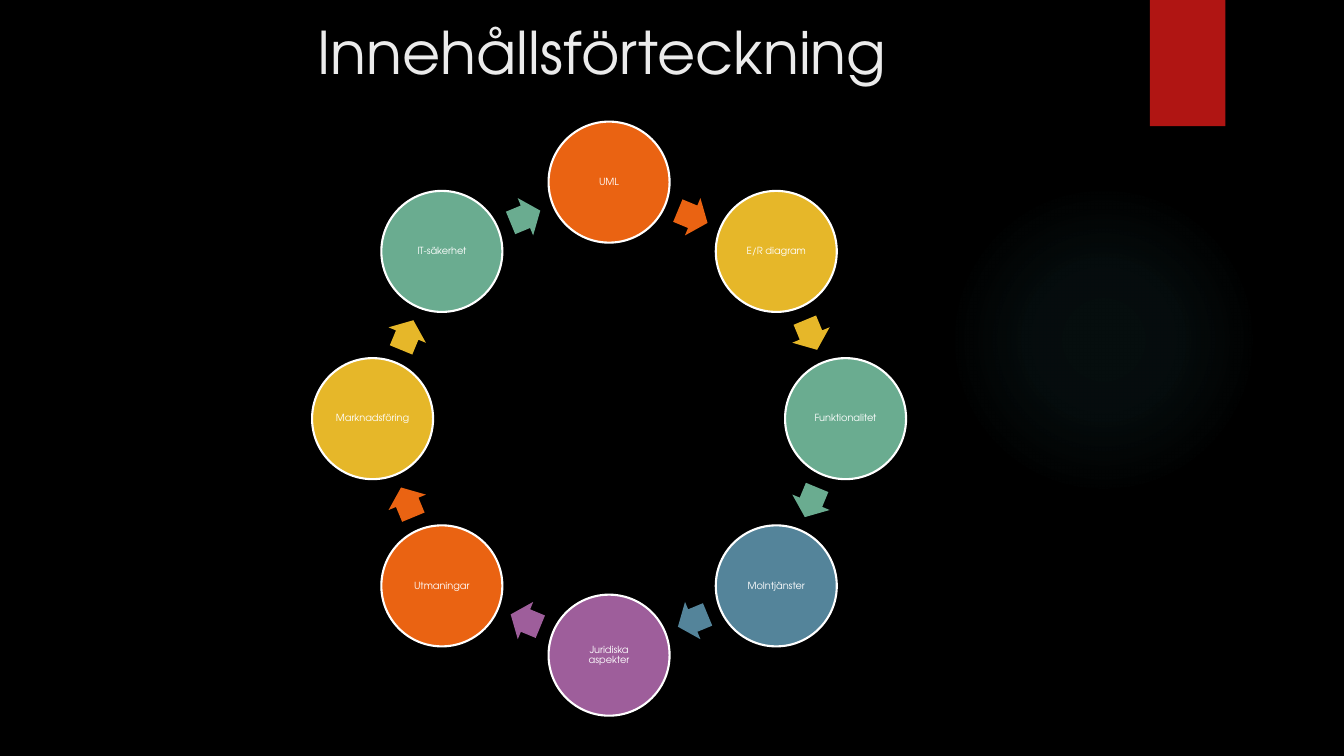
from dataclasses import dataclass
from math import cos, radians, sin

from pptx import Presentation
from pptx.dml.color import RGBColor
from pptx.enum.shapes import MSO_SHAPE
from pptx.enum.text import MSO_ANCHOR, MSO_AUTO_SIZE, PP_ALIGN
from pptx.oxml import parse_xml
from pptx.oxml.ns import nsdecls, qn
from pptx.util import Cm, Pt

OVAL, RECT, ARROW = MSO_SHAPE.OVAL, MSO_SHAPE.RECTANGLE, MSO_SHAPE.RIGHT_ARROW
TOP, MIDDLE = MSO_ANCHOR.TOP, MSO_ANCHOR.MIDDLE
LEFT, CENTER = PP_ALIGN.LEFT, PP_ALIGN.CENTER
FIXED = MSO_AUTO_SIZE.NONE


@dataclass(frozen=True)
class Theme:
    font: str = "TeX Gyre Adventor"
    back: str = "000000"
    title: str = "EBEBEB"
    white: str = "FFFFFF"
    red: str = "B01513"
    glow: str = "50B9C1"
    orange: str = "EA6312"
    yellow: str = "E6B729"
    green: str = "6AAC90"
    blue: str = "54849A"
    purple: str = "9E5E9B"
    title_size: float = 42
    label_size: float = 7
    edge: float = 1.5


class Page:
    """Draws on one slide; all lengths are centimetres."""

    def __init__(self, slide, theme):
        self.slide, self.theme = slide, theme
        fill = slide.background.fill
        fill.solid()
        fill.fore_color.rgb = RGBColor.from_string(theme.back)

    def letter(self, frame, text, size, color, align):
        """Set and format the one paragraph of a frame."""
        frame.text = text
        line = frame.paragraphs[0]
        line.alignment = align
        font = line.runs[0].font
        font.name, font.size = self.theme.font, Pt(size)
        font.color.rgb = RGBColor.from_string(color)
        return line

    def title(self, text, left, top, width, height):
        box = self.slide.shapes.title
        box.left, box.top = Cm(left), Cm(top)
        box.width, box.height = Cm(width), Cm(height)
        frame = box.text_frame
        frame.vertical_anchor, frame.auto_size = TOP, FIXED
        self.letter(frame, text, self.theme.title_size, self.theme.title, LEFT)

    def shape(self, kind, left, top, width, height, color):
        shape = self.slide.shapes.add_shape(
            kind, Cm(left), Cm(top), Cm(width), Cm(height))
        shape.shadow.inherit = False
        shape.fill.solid()
        shape.fill.fore_color.rgb = RGBColor.from_string(color)
        shape.line.fill.background()
        return shape

    def glow(self, left, top, size, stops):
        """Disc fading outwards; stops are (place, opacity) in percent."""
        color = self.theme.glow
        disc = self.shape(OVAL, left, top, size, size, color)
        marks = "".join(
            f'<a:gs pos="{place * 1000}"><a:srgbClr val="{color}">'
            f'<a:alpha val="{alpha * 1000}"/></a:srgbClr></a:gs>'
            for place, alpha in stops)
        grad = parse_xml(
            f'<a:gradFill {nsdecls("a")}><a:gsLst>{marks}</a:gsLst>'
            '<a:path path="circle"><a:fillToRect l="50000" t="50000" '
            'r="50000" b="50000"/></a:path></a:gradFill>')
        props = disc.element.spPr
        props.replace(props.find(qn("a:solidFill")), grad)

    def node(self, text, x, y, size, color):
        """Labelled circle centred on x, y."""
        theme = self.theme
        disc = self.shape(OVAL, x - size / 2, y - size / 2, size, size, color)
        disc.line.color.rgb = RGBColor.from_string(theme.white)
        disc.line.width = Pt(theme.edge)
        frame = disc.text_frame
        frame.word_wrap, frame.vertical_anchor = True, MIDDLE
        frame.margin_left = frame.margin_right = Cm(0.1)
        frame.margin_top = frame.margin_bottom = Cm(0.03)
        line = self.letter(frame, text, theme.label_size, theme.white, CENTER)
        line.line_spacing = 0.9

    def arrow(self, x, y, width, height, turn, color):
        """Block arrow centred on x, y."""
        arrow = self.shape(
            ARROW, x - width / 2, y - height / 2, width, height, color)
        arrow.adjustments[0], arrow.adjustments[1] = 0.6, 0.5
        arrow.rotation = turn

    def cycle(self, items, x, y, radius, size):
        """Clockwise ring of nodes, starting at the top."""
        step = 360 / len(items)
        inner = radius * cos(radians(step / 2))
        for i, (text, color) in enumerate(items):
            turn = radians(i * step)
            self.node(text, x + radius * sin(turn), y - radius * cos(turn),
                      size, color)
            half = (i + 0.5) * step
            turn = radians(half)
            self.arrow(x + inner * sin(turn), y - inner * cos(turn),
                       0.81, 1.02, half, color)


def main():
    deck = Presentation()
    deck.slide_width, deck.slide_height = Cm(33.87), Cm(19.05)
    theme = Theme()
    page = Page(deck.slides.add_slide(deck.slide_layouts[5]), theme)
    page.glow(23.9, 4.65, 7.82, [(0, 7), (36, 6), (69, 0)])
    page.shape(RECT, 28.98, 0, 1.9, 3.18, theme.red)
    page.title("Innehållsförteckning", 7.75, 0.28, 26.12, 3.89)
    page.cycle([
        ("UML", theme.orange),
        ("E/R diagram", theme.yellow),
        ("Funktionalitet", theme.green),
        ("Molntjänster", theme.blue),
        ("Juridiska aspekter", theme.purple),
        ("Utmaningar", theme.orange),
        ("Marknadsföring", theme.yellow),
        ("IT-säkerhet", theme.green),
    ], 15.35, 10.55, 5.96, 3.05)
    deck.save("out.pptx")


if __name__ == "__main__":
    main()
